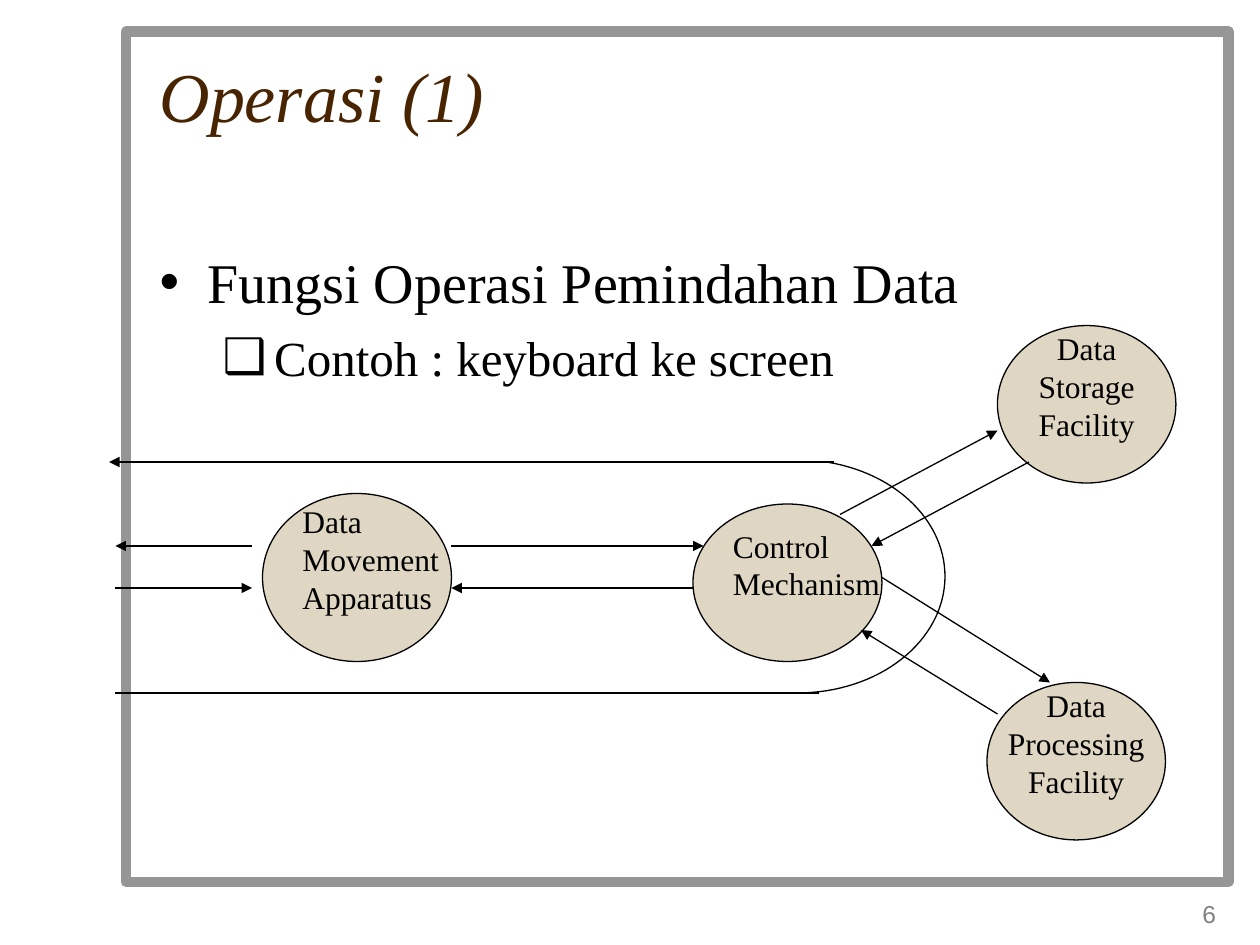
import math

import pptx
import pptx.dml.color
import pptx.enum.shapes
import pptx.enum.text
import pptx.oxml
import pptx.oxml.ns
import pptx.util

COLORS = {
    "paper": "FFFFFF",
    "frame": "969696",
    "title": "482400",
    "text": "000000",
    "node": "DFD6C3",
    "number": "808080",
}
SERIF = "Times New Roman"
ALIGN = pptx.enum.text.PP_ALIGN
ANCHOR = pptx.enum.text.MSO_ANCHOR
SHAPE = pptx.enum.shapes.MSO_SHAPE

# Node text, grid box (left, top, width, height), alignment
NODES = [
    ("Data\nMovement\nApparatus", (25, 47, 18, 16), ALIGN.LEFT),
    ("Control\nMechanism", (66, 48, 18, 15), ALIGN.LEFT),
    ("Data\nStorage\nFacility", (95, 31, 17, 15), ALIGN.CENTER),
    ("Data\nProcessing\nFacility", (94, 65, 17, 15), ALIGN.CENTER),
]

# Start column and row, end column and row
ARROWS = [
    (24, 52, 11, 52),
    (11, 56, 24, 56),
    (43, 52, 67, 52),
    (66, 56, 43, 56),
    (80, 49, 95, 41),
    (98, 44, 83, 52),
    (84, 55, 100, 65),
    (95, 68, 82, 60),
    (79.4, 44, 10.4, 44),
]


def grid(units):
    """Length on a grid of twelve columns or rows to the inch."""
    return pptx.util.Inches(units / 12)


def rgb(name):
    return pptx.dml.color.RGBColor.from_string(COLORS[name])


def add_xml(parent, markup):
    namespace = pptx.oxml.ns.nsdecls("a")
    parent.append(pptx.oxml.parse_xml(markup.replace("/>", f" {namespace}/>", 1)))


def place(shape, left, top, width, height):
    shape.left, shape.top = grid(left), grid(top)
    shape.width, shape.height = grid(width), grid(height)


def format_font(paragraph, size, color="text", name=SERIF, italic=False):
    for run in paragraph.runs:
        run.font.size = pptx.util.Pt(size)
        run.font.name = name
        run.font.italic = italic
        run.font.color.rgb = rgb(color)


def format_line(shape, color="text", width=0.75):
    shape.line.color.rgb = rgb(color)
    shape.line.width = pptx.util.Pt(width)


def add_frame(slide):
    frame = slide.shapes.add_shape(
        SHAPE.RECTANGLE, grid(12), grid(3), grid(105), grid(81))
    frame.shadow.inherit = False
    frame.fill.solid()
    frame.fill.fore_color.rgb = rgb("paper")
    format_line(frame, "frame", 6)
    slide.shapes.element.insert(2, frame.element)  # behind the placeholders


def fill_title(title, text):
    place(title, 14, 5, 102, 15)
    text_frame = title.text_frame
    text_frame.text = text
    text_frame.auto_size = pptx.enum.text.MSO_AUTO_SIZE.NONE
    text_frame.vertical_anchor = ANCHOR.TOP
    text_frame.margin_top = 0
    text_frame.paragraphs[0].alignment = ALIGN.LEFT
    format_font(text_frame.paragraphs[0], 40, "title", italic=True)


def fill_body(body, items):
    place(body, 14, 23, 102, 54)
    text_frame = body.text_frame
    text_frame.text = "\n".join(item[0] for item in items)
    text_frame.auto_size = pptx.enum.text.MSO_AUTO_SIZE.NONE
    for level, (paragraph, item) in enumerate(zip(text_frame.paragraphs, items)):
        _, bullet, size, margin, hanging, space = item
        paragraph.level = level
        paragraph.space_before = pptx.util.Pt(space)
        properties = paragraph._p.get_or_add_pPr()
        properties.set("marL", str(pptx.util.Inches(margin)))
        properties.set("indent", str(-pptx.util.Inches(hanging)))
        add_xml(properties, f'<a:buChar char="{bullet}"/>')
        format_font(paragraph, size)


def add_node(slide, text, box, alignment):
    node = slide.shapes.add_shape(SHAPE.OVAL, *map(grid, box))
    node.shadow.inherit = False
    node.fill.solid()
    node.fill.fore_color.rgb = rgb("node")
    format_line(node)
    text_frame = node.text_frame
    text_frame.text = text
    text_frame.word_wrap = False
    text_frame.vertical_anchor = ANCHOR.MIDDLE
    text_frame.margin_bottom = pptx.util.Inches(0.34)  # lifts text by half a line
    for paragraph in text_frame.paragraphs:
        paragraph.alignment = alignment
        format_font(paragraph, 18)


def add_line(slide, start_x, start_y, end_x, end_y, arrow=True):
    line = slide.shapes.add_connector(
        pptx.enum.shapes.MSO_CONNECTOR.STRAIGHT,
        grid(start_x), grid(start_y), grid(end_x), grid(end_y))
    format_line(line)
    if arrow:
        add_xml(line.line._get_or_add_ln(), '<a:tailEnd type="triangle"/>')
    add_xml(line.element.spPr, "<a:effectLst/>")


def add_loop(slide, center_x, center_y, radius_x, radius_y, first, last):
    """Open elliptical arc between two angles in degrees."""
    steps = 60
    points = []
    for step in range(steps + 1):
        angle = math.radians(first + (last - first) * step / steps)
        points.append((grid(center_x + radius_x * math.cos(angle)),
                       grid(center_y + radius_y * math.sin(angle))))
    builder = slide.shapes.build_freeform(*points[0])
    builder.add_line_segments(points[1:], close=False)
    loop = builder.convert_to_shape()
    loop.shadow.inherit = False
    loop.fill.background()
    format_line(loop)


def add_number(slide, text):
    box = slide.shapes.add_textbox(grid(92), grid(84), grid(25), grid(6))
    text_frame = box.text_frame
    text_frame.text = text
    text_frame.word_wrap = True
    text_frame.vertical_anchor = ANCHOR.MIDDLE
    text_frame.paragraphs[0].alignment = ALIGN.RIGHT
    format_font(text_frame.paragraphs[0], 14, "number", "Arial")


def main():
    presentation = pptx.Presentation()
    presentation.slide_width, presentation.slide_height = grid(120), grid(90)
    slide = presentation.slides.add_slide(presentation.slide_layouts[1])

    # Frame, title, list and page number
    add_frame(slide)
    fill_title(slide.shapes.title, "Operasi (1)")
    fill_body(slide.placeholders[1], [
        ("Fungsi Operasi Pemindahan Data", "•", 32, 0.38, 0.38, 0),
        ("Contoh : keyboard ke screen", "❑", 28, 0.91, 0.41, 7),
    ])
    add_number(slide, "6")

    # Data flow diagram
    for text, box, alignment in NODES:
        add_node(slide, text, box, alignment)
    for arrow in ARROWS:
        add_line(slide, *arrow)

    # Loop through the control mechanism
    add_line(slide, 11, 66, 78, 66, arrow=False)
    add_loop(slide, 76, 54.9, 14, 11.1, 90, -78)

    presentation.save("out.pptx")


if __name__ == "__main__":
    main()
